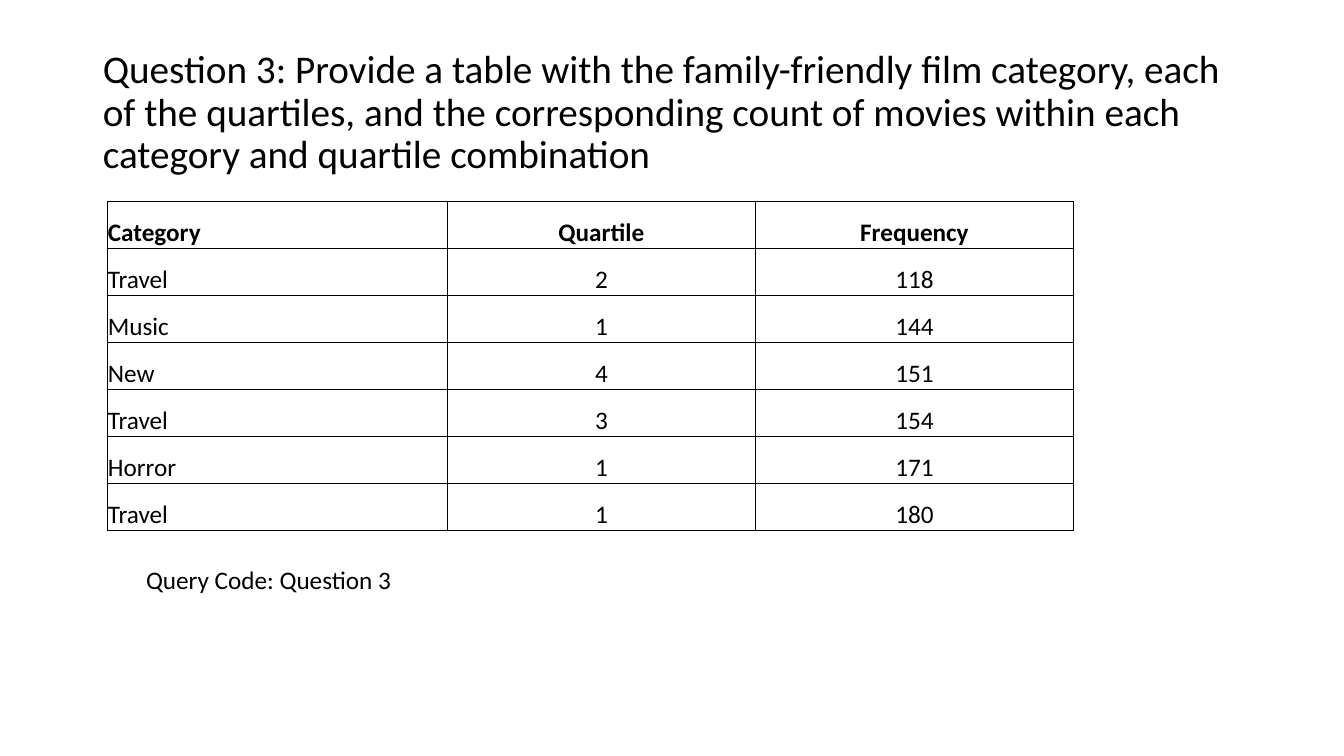
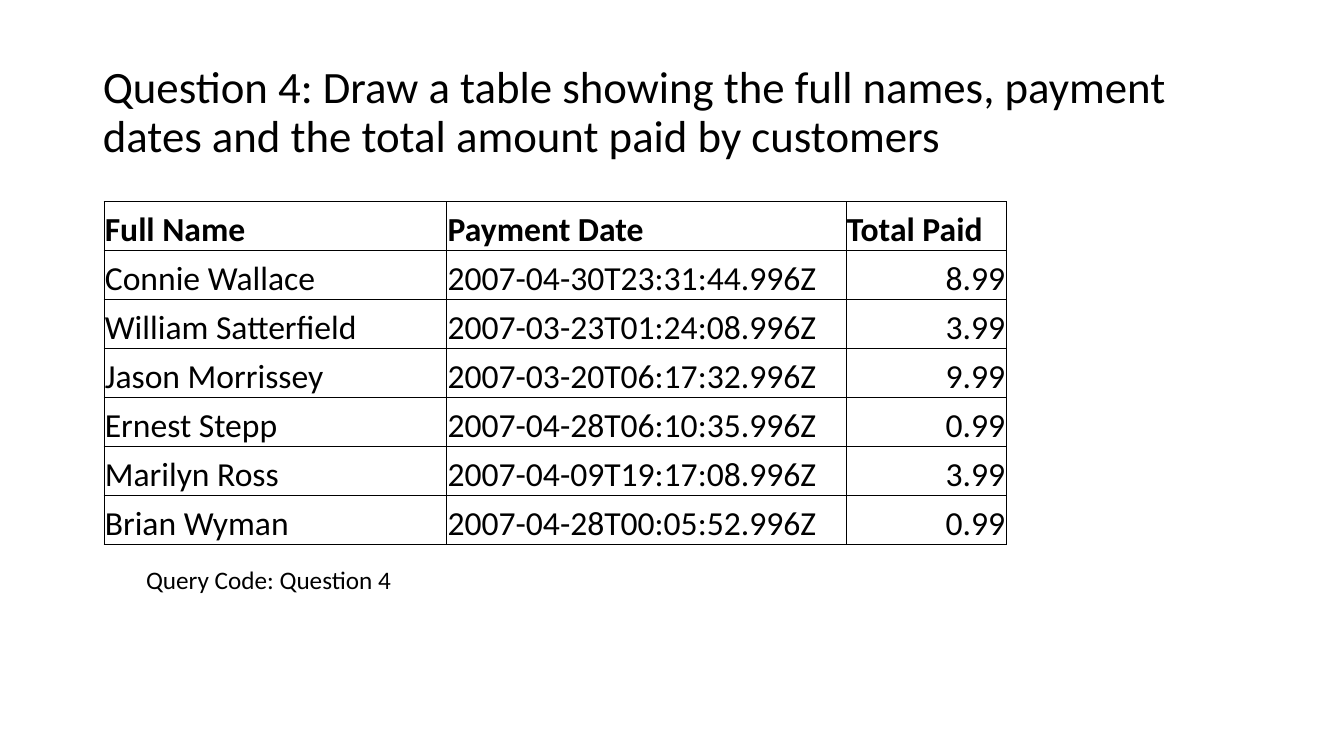
from pptx import Presentation, util as u
from pptx.dml.color import RGBColor
from pptx.enum import text
from pptx.oxml import parse_xml
from pptx.oxml.ns import nsdecls

HUES = {"ink": "000000", "page": "FFFFFF"}
FONT = "Calibri"
LEFT, MID, RIGHT = text.PP_ALIGN.LEFT, text.PP_ALIGN.CENTER, text.PP_ALIGN.RIGHT

# Each slide: title, table place and column widths, alignments, rows
pages = [
    {
        "title": "Question 3: Provide a table with the family-friendly film category, "
                 "each of the quartiles, and the corresponding count of movies within "
                 "each category and quartile combination",
        "title_size": 28,
        "left": 1.06, "height": 3.26, "cols": [3.38, 3.05, 3.16], "size": 18,
        "head": [LEFT, MID, MID], "body": [LEFT, MID, MID],
        "rows": [
            ("Category", "Quartile", "Frequency"),
            ("Travel", "2", "118"),
            ("Music", "1", "144"),
            ("New", "4", "151"),
            ("Travel", "3", "154"),
            ("Horror", "1", "171"),
            ("Travel", "1", "180"),
        ],
        "note": "Query Code: Question 3",
    },
    {
        "title": "Question 4: Draw a table showing the full names, payment dates "
                 "and the total amount paid by customers",
        "title_size": 32,
        "left": 1.03, "height": 3.4, "cols": [3.4, 3.96, 1.59], "size": 24,
        "head": [LEFT, LEFT, LEFT], "body": [LEFT, LEFT, RIGHT],
        "rows": [
            ("Full Name", "Payment Date", "Total Paid"),
            ("Connie Wallace", "2007-04-30T23:31:44.996Z", "8.99"),
            ("William Satterfield", "2007-03-23T01:24:08.996Z", "3.99"),
            ("Jason Morrissey", "2007-03-20T06:17:32.996Z", "9.99"),
            ("Ernest Stepp", "2007-04-28T06:10:35.996Z", "0.99"),
            ("Marilyn Ross", "2007-04-09T19:17:08.996Z", "3.99"),
            ("Brian Wyman", "2007-04-28T00:05:52.996Z", "0.99"),
        ],
        "note": "Query Code: Question 4",
    },
]


def style(para, size, align=LEFT, bold=False):
    para.alignment = align
    font = para.font
    font.name, font.size, font.bold = FONT, u.Pt(size), bold
    font.color.rgb = RGBColor.from_string(HUES["ink"])


def edge(cell):
    # Borders come before the fill in the cell properties
    props = cell._tc.get_or_add_tcPr()
    for spot, side in enumerate("LRTB"):
        props.insert(spot, parse_xml(
            f'<a:ln{side} {nsdecls("a")} w="{u.Pt(0.5)}"><a:solidFill>'
            f'<a:srgbClr val="{HUES["ink"]}"/></a:solidFill></a:ln{side}>'))


deck = Presentation()
deck.slide_width, deck.slide_height = u.Inches(13.33), u.Inches(7.5)
back = deck.slide_master.background.fill
back.solid()
back.fore_color.rgb = RGBColor.from_string(HUES["page"])

for page in pages:
    slide = deck.slides.add_slide(deck.slide_layouts[5])

    # Title
    title = slide.shapes.title
    title.left, title.top = u.Inches(0.92), u.Inches(0.4)
    title.width, title.height = u.Inches(11.5), u.Inches(1.45)
    frame = title.text_frame
    frame.text = page["title"]
    frame.word_wrap = True
    frame.auto_size = text.MSO_AUTO_SIZE.NONE
    frame.vertical_anchor = text.MSO_ANCHOR.MIDDLE
    frame.paragraphs[0].line_spacing = 0.9
    style(frame.paragraphs[0], page["title_size"])

    # Table
    rows, cols = page["rows"], page["cols"]
    table = slide.shapes.add_table(
        len(rows), len(cols), u.Inches(page["left"]), u.Inches(2),
        u.Inches(sum(cols)), u.Inches(page["height"])).table
    table.horz_banding = False
    for col, width in zip(table.columns, cols):
        col.width = u.Inches(width)
    for r, row in enumerate(rows):
        aligns = page["body"] if r else page["head"]
        for c, (word, align) in enumerate(zip(row, aligns)):
            cell = table.cell(r, c)
            cell.text = word
            cell.vertical_anchor = text.MSO_ANCHOR.BOTTOM
            cell.margin_left = cell.margin_right = cell.margin_top = u.Inches(0.01)
            cell.margin_bottom = 0
            cell.fill.background()
            edge(cell)
            style(cell.text_frame.paragraphs[0], page["size"], align, r == 0)

    # Query note
    note = slide.shapes.add_textbox(
        u.Inches(1.35), u.Inches(5.55), u.Inches(9.39), u.Inches(0.4)).text_frame
    note.word_wrap = True
    note.auto_size = text.MSO_AUTO_SIZE.SHAPE_TO_FIT_TEXT
    note.text = page["note"]
    style(note.paragraphs[0], 18)

deck.save("out.pptx")
